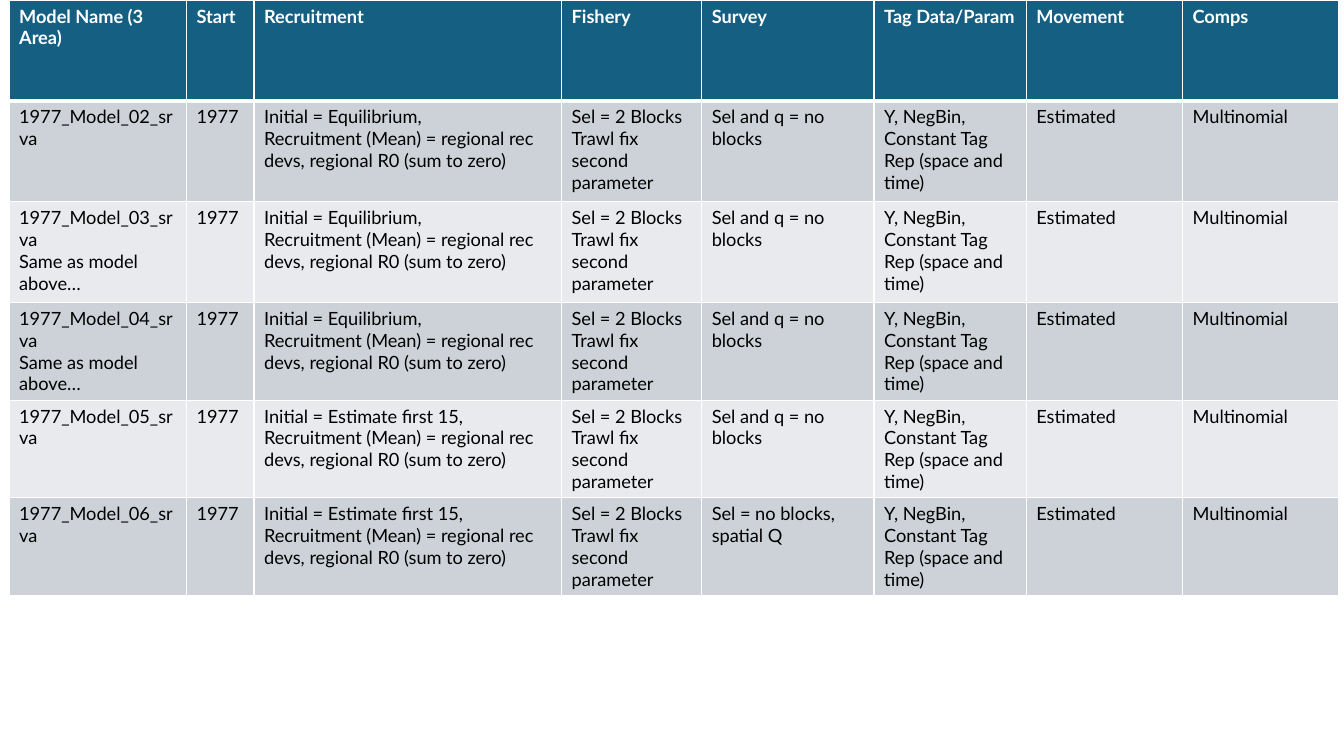
from dataclasses import dataclass

from lxml.etree import SubElement
from pptx import Presentation
from pptx.dml.color import RGBColor as Color
from pptx.oxml.ns import qn
from pptx.util import Inches, Pt


@dataclass(frozen=True)
class Theme:
    font: str = "Lato"
    size: float = 13
    header_fill: str = "156082"
    header_text: str = "FFFFFF"
    body_text: str = "000000"
    bands: tuple = ("CCD2D8", "E8EAED")
    border: str = "FFFFFF"
    thin: float = 1
    thick: float = 3


def add_borders(cell, top, bottom):
    properties = cell._tc.get_or_add_tcPr()
    sides = {"lnL": theme.thin, "lnR": theme.thin, "lnT": top, "lnB": bottom}
    for side, width in sides.items():
        line = SubElement(properties, qn(f"a:{side}"), w=str(Pt(width)))
        fill = SubElement(line, qn("a:solidFill"))
        SubElement(fill, qn("a:srgbClr"), val=theme.border)


theme = Theme()
column_widths = [1.76, 0.67, 3.05, 1.39, 1.71, 1.51, 1.55, 1.55]
row_heights = [1, 1, 1, 0.97, 0.97, 0.97]

headers = ["Model Name (3 Area)", "Start", "Recruitment", "Fishery", "Survey",
           "Tag Data/Param", "Movement", "Comps"]
same = "\nSame as model above…"
equilibrium = "Equilibrium"
estimated = "Estimate first 15"
no_blocks = "Sel and q = no blocks"
models = [
    ("02", "", equilibrium, no_blocks),
    ("03", same, equilibrium, no_blocks),
    ("04", same, equilibrium, no_blocks),
    ("05", "", estimated, no_blocks),
    ("06", "", estimated, "Sel = no blocks, spatial Q"),
]
rows = [headers]
for number, remark, initial, survey in models:
    rows.append([
        f"1977_Model_{number}_srva{remark}",
        "1977",
        f"Initial = {initial},\n"
        "Recruitment (Mean) = regional rec devs, regional R0 (sum to zero)",
        "Sel = 2 Blocks\nTrawl fix second parameter",
        survey,
        "Y, NegBin, Constant Tag Rep (space and time)",
        "Estimated",
        "Multinomial",
    ])

deck = Presentation()
deck.slide_width = Inches(13.33)
deck.slide_height = Inches(7.5)
page = deck.slides.add_slide(deck.slide_layouts[6])

table = page.shapes.add_table(
    len(rows), len(headers), Inches(0.09), 0,
    Inches(sum(column_widths)), Inches(sum(row_heights))).table
for column, width in zip(table.columns, column_widths):
    column.width = Inches(width)
for row, height in zip(table.rows, row_heights):
    row.height = Inches(height)

for row_index, texts in enumerate(rows):
    is_header = row_index == 0
    fill = theme.header_fill if is_header else theme.bands[(row_index - 1) % 2]
    ink = theme.header_text if is_header else theme.body_text
    top = theme.thick if row_index == 1 else theme.thin
    bottom = theme.thick if is_header else theme.thin
    for column_index, text in enumerate(texts):
        cell = table.cell(row_index, column_index)
        add_borders(cell, top, bottom)
        cell.fill.solid()
        cell.fill.fore_color.rgb = Color.from_string(fill)
        cell.text_frame.text = text
        for para in cell.text_frame.paragraphs:
            for span in para.runs:
                span.font.name = theme.font
                span.font.size = Pt(theme.size)
                span.font.bold = is_header
                span.font.color.rgb = Color.from_string(ink)

deck.save("out.pptx")
